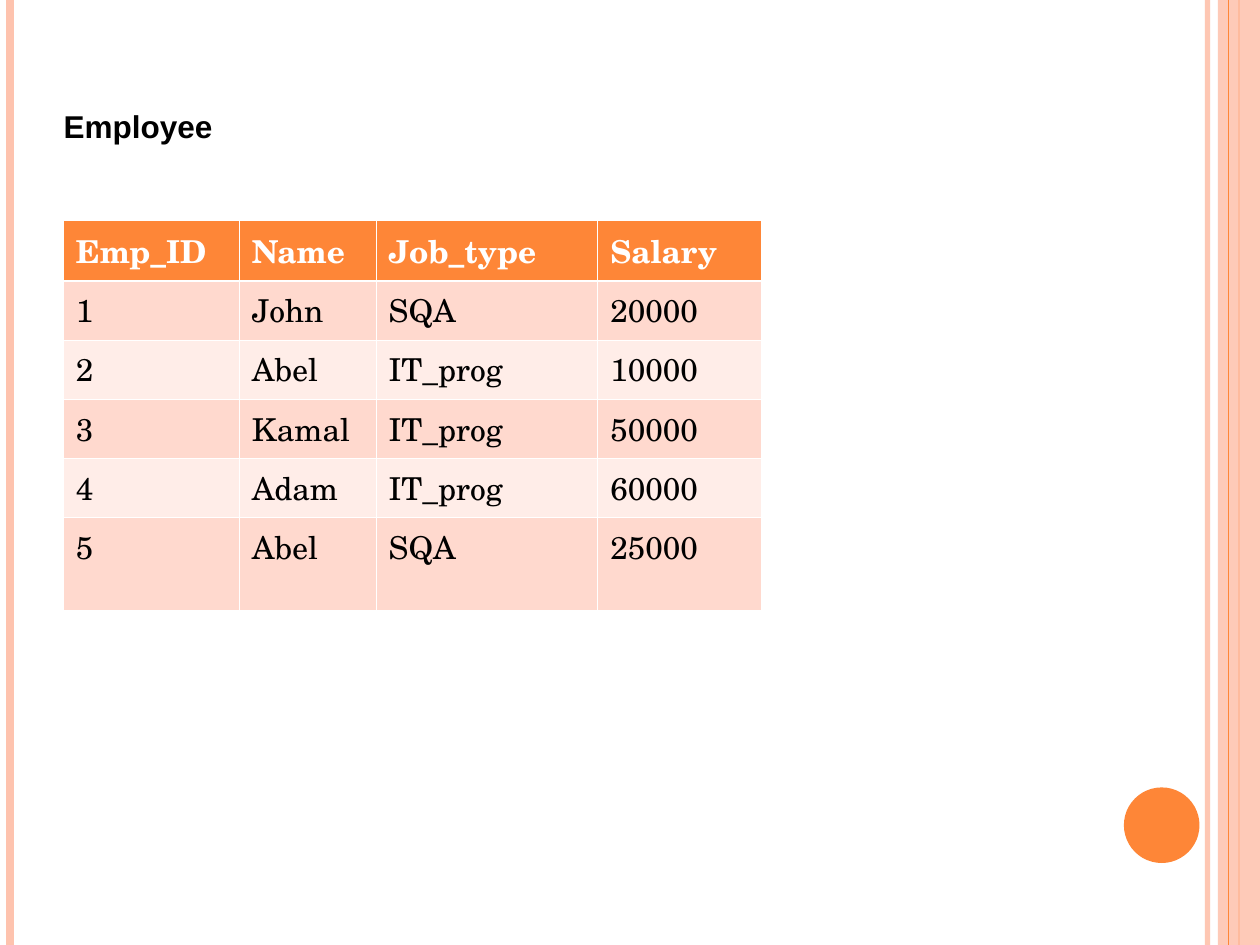
from typing import NamedTuple

from pptx import Presentation
from pptx import util as u
from pptx.dml.color import RGBColor
from pptx.enum import shapes, text
from pptx.oxml import parse_xml
from pptx.oxml.ns import nsdecls, qn
from lxml import etree

WIDTH, HEIGHT = u.Inches(10), u.Inches(7.5)
ORANGE, PEACH, WHITE, BLACK = "FE8637", "FEC3AE", "FFFFFF", "000000"
BANDS = ("FFD9CE", "FFEDE8")
BODY_FONT, TITLE_FONT = "TeX Gyre Schola", "Arial"


class Stripe(NamedTuple):
    x: float
    weight: float
    color: str
    opacity: int = 100


class Block(NamedTuple):
    kind: int
    x: float
    y: float
    width: float
    height: float
    color: str
    opacity: int = 100


# Back to front; positions and sizes in percent of the slide
DECORATION = [
    Stripe(95.83, 3, PEACH, 93),
    Stripe(0.83, 4.5, PEACH),
    Stripe(98.33, 1.5, ORANGE),
    Block(shapes.MSO_SHAPE.RECTANGLE, 96.67, 0, 3.33, 100, PEACH, 87),
    Stripe(97.53, 0.75, ORANGE),
    Block(shapes.MSO_SHAPE.OVAL, 89.2, 83.33, 6, 8, ORANGE),
]

EMPLOYEES = [
    ("Emp_ID", "Name", "Job_type", "Salary"),
    ("1", "John", "SQA", "20000"),
    ("2", "Abel", "IT_prog", "10000"),
    ("3", "Kamal", "IT_prog", "50000"),
    ("4", "Adam", "IT_prog", "60000"),
    ("5", "Abel", "SQA", "25000"),
]
COLUMN_SHARES = (13.95, 10.87, 17.6, 12.95)
HEADER_SHARE, ROW_SHARE, LAST_ROW_SHARE = 6.4, 6.25, 9.84


def across(percent: float) -> int:
    return round(WIDTH * percent / 100)


def down(percent: float) -> int:
    return round(HEIGHT * percent / 100)


def paint(fill, color: str) -> None:
    fill.solid()
    fill.fore_color.rgb = RGBColor.from_string(color)


def set_opacity(shape, percent: int) -> None:
    if percent < 100:
        color = next(shape._element.spPr.iter(qn("a:srgbClr")))
        etree.SubElement(color, qn("a:alpha"), val=str(percent * 1000))


def style_font(font, name: str, color: str, bold: bool) -> None:
    for key, value in {"name": name, "size": u.Pt(18), "bold": bold}.items():
        setattr(font, key, value)
    font.color.rgb = RGBColor.from_string(color)


def draw_stripe(slide, stripe: Stripe) -> None:
    x = across(stripe.x)
    line = slide.shapes.add_connector(shapes.MSO_CONNECTOR.STRAIGHT, x, 0, x, HEIGHT)
    line.line.width = u.Pt(stripe.weight)
    paint(line.line.fill, stripe.color)
    set_opacity(line, stripe.opacity)
    etree.SubElement(line._element.spPr, qn("a:effectLst"))


def draw_block(slide, block: Block) -> None:
    shape = slide.shapes.add_shape(block.kind, across(block.x), down(block.y),
                                   across(block.width), down(block.height))
    shape.shadow.inherit = False
    paint(shape.fill, block.color)
    set_opacity(shape, block.opacity)
    shape.line.fill.background()


def set_borders(cell, row: int) -> None:
    thin, thick = 0.45, 1.47
    weights = {"lnL": thin, "lnR": thin,
               "lnT": thick if row == 1 else thin,
               "lnB": thick if row == 0 else thin}
    properties = cell._tc.get_or_add_tcPr()
    for position, (side, weight) in enumerate(weights.items()):
        properties.insert(position, parse_xml(
            f'<a:{side} {nsdecls("a")} w="{u.Pt(weight)}"><a:solidFill>'
            f'<a:srgbClr val="{WHITE}"/></a:solidFill></a:{side}>'))


def draw_title(slide, wording: str) -> None:
    title = slide.shapes.title
    place = {"left": across(4.05), "top": down(10.67),
             "width": across(21.7), "height": down(5.33)}
    for key, value in place.items():
        setattr(title, key, value)
    frame = title.text_frame
    frame.text = wording
    layout = {"word_wrap": True, "auto_size": text.MSO_AUTO_SIZE.SHAPE_TO_FIT_TEXT,
              "vertical_anchor": text.MSO_ANCHOR.TOP}
    for key, value in layout.items():
        setattr(frame, key, value)
    paragraph = frame.paragraphs[0]
    paragraph.alignment = text.PP_ALIGN.LEFT
    style_font(paragraph.runs[0].font, TITLE_FONT, BLACK, True)


def draw_table(slide, records: list[tuple[str, ...]]) -> None:
    middle_rows = len(records) - 2
    row_shares = [HEADER_SHARE, *[ROW_SHARE] * middle_rows, LAST_ROW_SHARE]
    table = slide.shapes.add_table(
        len(records), len(COLUMN_SHARES), across(5.03), down(23.33),
        across(sum(COLUMN_SHARES)), down(sum(row_shares))).table
    for column, share in zip(table.columns, COLUMN_SHARES):
        column.width = across(share)
    for row, share in zip(table.rows, row_shares):
        row.height = down(share)
    for r, record in enumerate(records):
        header = r == 0
        for c, value in enumerate(record):
            cell = table.cell(r, c)
            cell.text = value
            paint(cell.fill, ORANGE if header else BANDS[(r - 1) % 2])
            set_borders(cell, r)
            style_font(cell.text_frame.paragraphs[0].runs[0].font,
                       BODY_FONT, WHITE if header else BLACK, header)


def main() -> None:
    deck = Presentation()
    deck.slide_width, deck.slide_height = WIDTH, HEIGHT
    slide = deck.slides.add_slide(deck.slide_layouts[5])
    paint(slide.background.fill, WHITE)

    # Side stripes, band and circle
    for part in DECORATION:
        draw = draw_stripe if isinstance(part, Stripe) else draw_block
        draw(slide, part)

    # Employee table under its heading
    draw_table(slide, EMPLOYEES)
    draw_title(slide, "Employee")
    deck.save("out.pptx")


if __name__ == "__main__":
    main()
